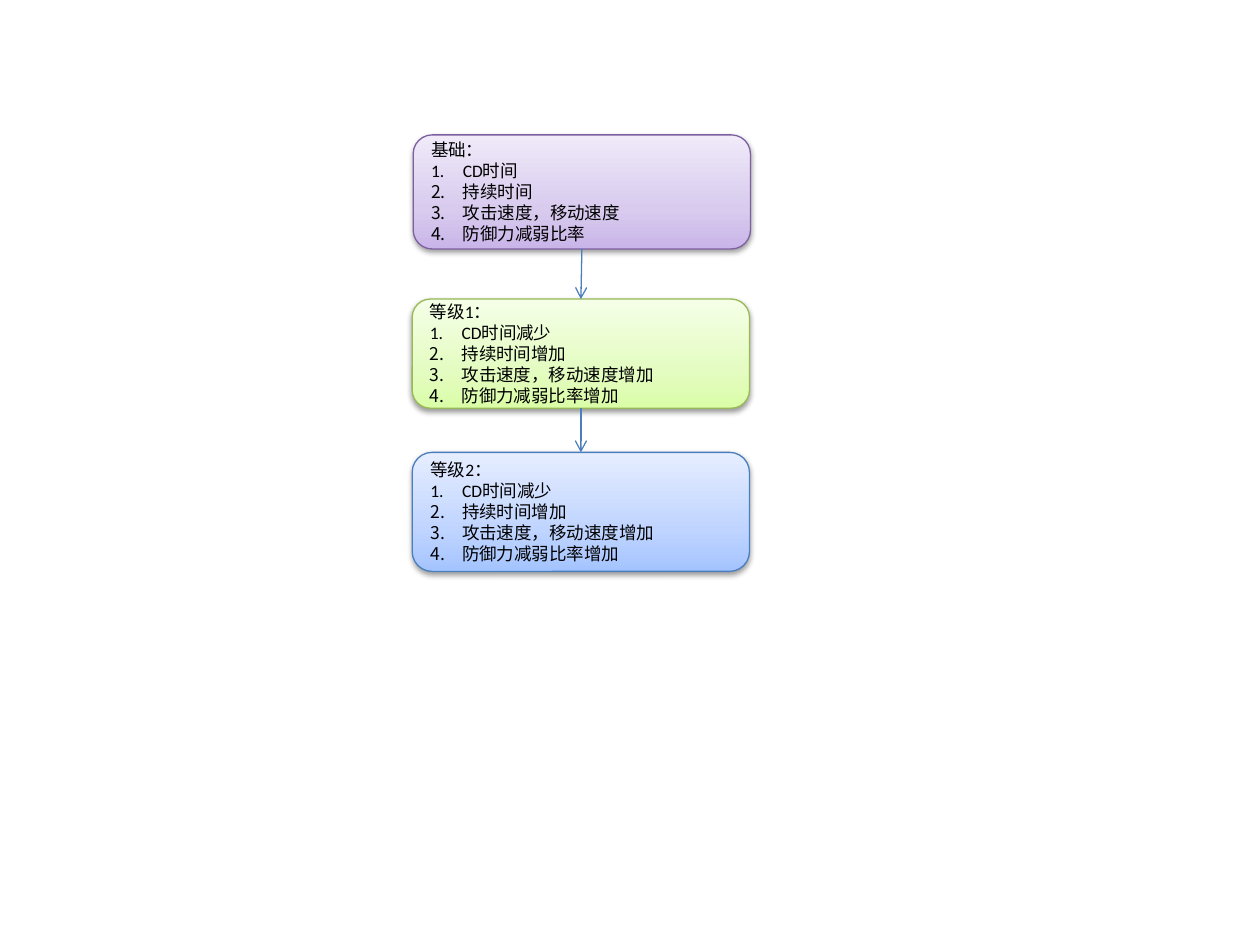
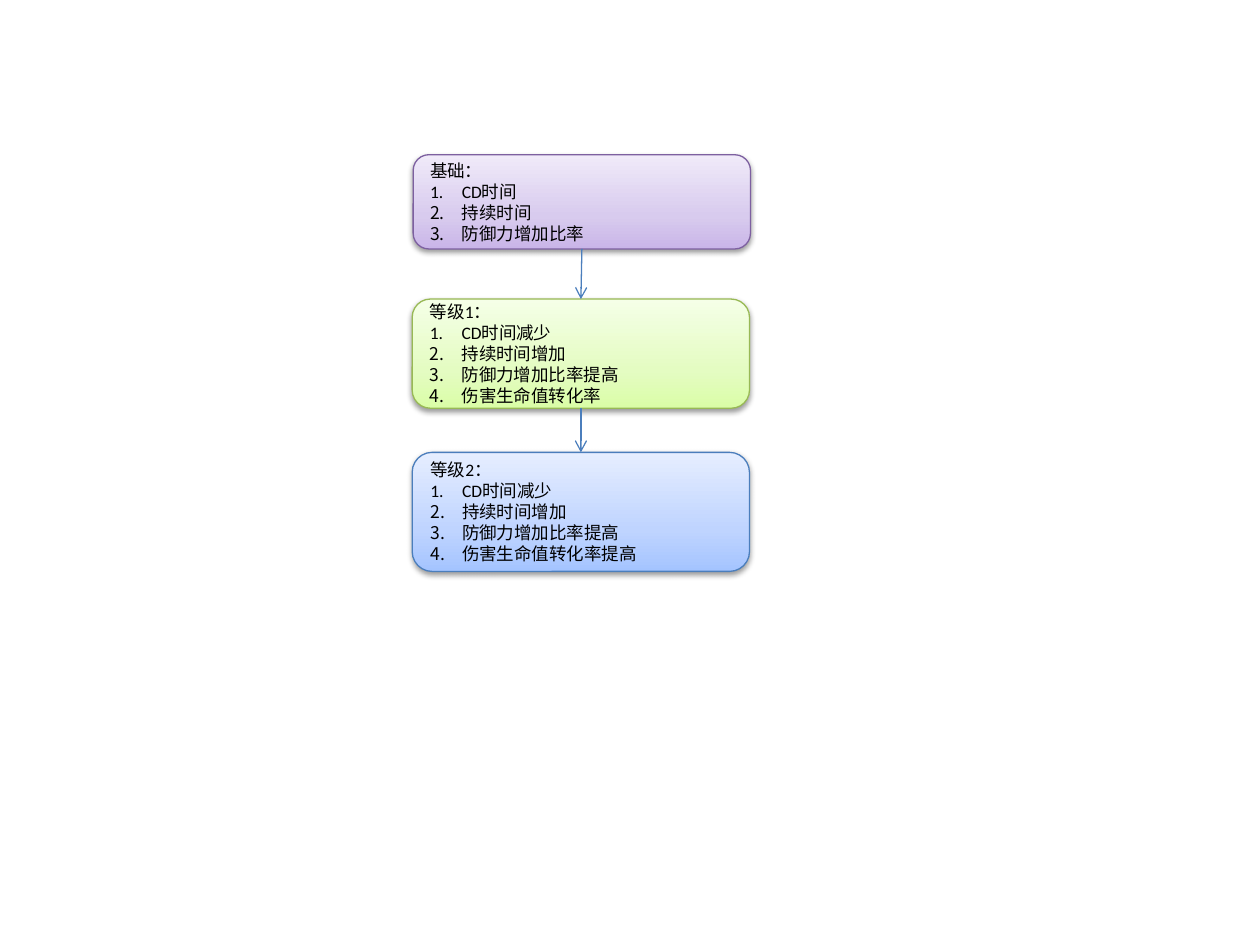
from copy import deepcopy
from dataclasses import dataclass

from lxml import etree
from pptx import Presentation
from pptx.dml.color import RGBColor
from pptx.enum.shapes import MSO_CONNECTOR, MSO_SHAPE
from pptx.enum.text import MSO_ANCHOR, PP_ALIGN
from pptx.oxml.ns import qn
from pptx.util import Cm, Pt

ROUNDED_RECTANGLE = MSO_SHAPE.ROUNDED_RECTANGLE
STRAIGHT = MSO_CONNECTOR.STRAIGHT
MIDDLE = MSO_ANCHOR.MIDDLE
LEFT = PP_ALIGN.LEFT
TOP_SITE, BOTTOM_SITE = 0, 2


@dataclass(frozen=True)
class Theme:
    font: str = "Calibri"
    text_size: float = 10
    line_width: float = 0.75
    text: str = "000000"
    shadow: str = "000000"
    arrow: str = "4B7EBC"
    purple: tuple = ("7D60A0", "C9B5E8", "D8CBEE", "F0EAF9")
    green: tuple = ("98B955", "DAFDA7", "E4FCC2", "F5FFE7")
    blue: tuple = ("4B7EBC", "A4C4FF", "BFD4FF", "E6EEFF")
    stops: tuple = (0, 0.35, 1)


theme = Theme()
BOX_WIDTH = 6.8
INDENT = Cm(0.64)
LEVELS = [
    ("基础：", theme.purple, 8.33, 5.02),
    ("等级1：", theme.green, 8.31, 8.23),
    ("等级2：", theme.blue, 8.31, 11.52),
]
SKILLS = [
    [
        (2.3, ["CD时间", "持续时间", "攻击速度，移动速度", "防御力减弱比率"]),
        (2.2, ["CD时间减少", "持续时间增加", "攻击速度，移动速度增加", "防御力减弱比率增加"]),
        (2.4, ["CD时间减少", "持续时间增加", "攻击速度，移动速度增加", "防御力减弱比率增加"]),
    ],
    [
        (1.9, ["CD时间", "持续时间", "防御力增加比率"]),
        (2.2, ["CD时间减少", "持续时间增加", "防御力增加比率提高", "伤害生命值转化率"]),
        (2.4, ["CD时间减少", "持续时间增加", "防御力增加比率提高", "伤害生命值转化率提高"]),
    ],
]


def style_box(shape, colors):
    line_color, *stop_colors = colors
    shape.fill.gradient()
    shape.fill.gradient_angle = 90
    stop_list = shape._element.spPr.find(f".//{qn('a:gsLst')}")
    stop_list.append(deepcopy(stop_list[0]))
    for stop, position, color in zip(shape.fill.gradient_stops, theme.stops, stop_colors):
        stop.position = position
        stop.color.rgb = RGBColor.from_string(color)
    shape.line.color.rgb = RGBColor.from_string(line_color)
    shape.line.width = Pt(theme.line_width)
    shape.shadow.inherit = False
    effects = shape._element.spPr.find(qn("a:effectLst"))
    shadow = etree.SubElement(effects, qn("a:outerShdw"), blurRad="40000", dist="20000",
                              dir="5400000", rotWithShape="0")
    shadow_color = etree.SubElement(shadow, qn("a:srgbClr"), val=theme.shadow)
    etree.SubElement(shadow_color, qn("a:alpha"), val="38000")


def add_arrow(slide, upper_box, lower_box):
    connector = slide.shapes.add_connector(STRAIGHT, 0, 0, 0, 0)
    connector.begin_connect(upper_box, BOTTOM_SITE)
    connector.end_connect(lower_box, TOP_SITE)
    connector.line.color.rgb = RGBColor.from_string(theme.arrow)
    connector.line.width = Pt(theme.line_width)
    properties = connector._element.spPr
    etree.SubElement(properties.find(qn("a:ln")), qn("a:tailEnd"), type="arrow")
    etree.SubElement(properties, qn("a:effectLst"))


presentation = Presentation()
presentation.slide_width = Cm(25.4)
presentation.slide_height = Cm(19.05)
blank_layout = presentation.slide_layouts[6]

for skill in SKILLS:
    slide = presentation.slides.add_slide(blank_layout)
    previous_box = None
    for (heading, colors, left, bottom), (height, effects) in zip(LEVELS, skill):
        box = slide.shapes.add_shape(ROUNDED_RECTANGLE, Cm(left), Cm(bottom - height),
                                     Cm(BOX_WIDTH), Cm(height))
        style_box(box, colors)
        frame = box.text_frame
        frame.word_wrap = True
        frame.vertical_anchor = MIDDLE
        frame.text = "\n".join([heading, *effects])
        for number, paragraph in enumerate(frame.paragraphs):
            paragraph.alignment = LEFT
            paragraph.font.name = theme.font
            paragraph.font.size = Pt(theme.text_size)
            paragraph.font.color.rgb = RGBColor.from_string(theme.text)
            if number:
                properties = paragraph._p.get_or_add_pPr()
                properties.set("marL", str(INDENT))
                properties.set("indent", str(-INDENT))
                bullet = etree.Element(qn("a:buAutoNum"), type="arabicPeriod")
                properties.insert(0, bullet)
        if previous_box is not None:
            add_arrow(slide, previous_box, box)
        previous_box = box

presentation.save("out.pptx")
